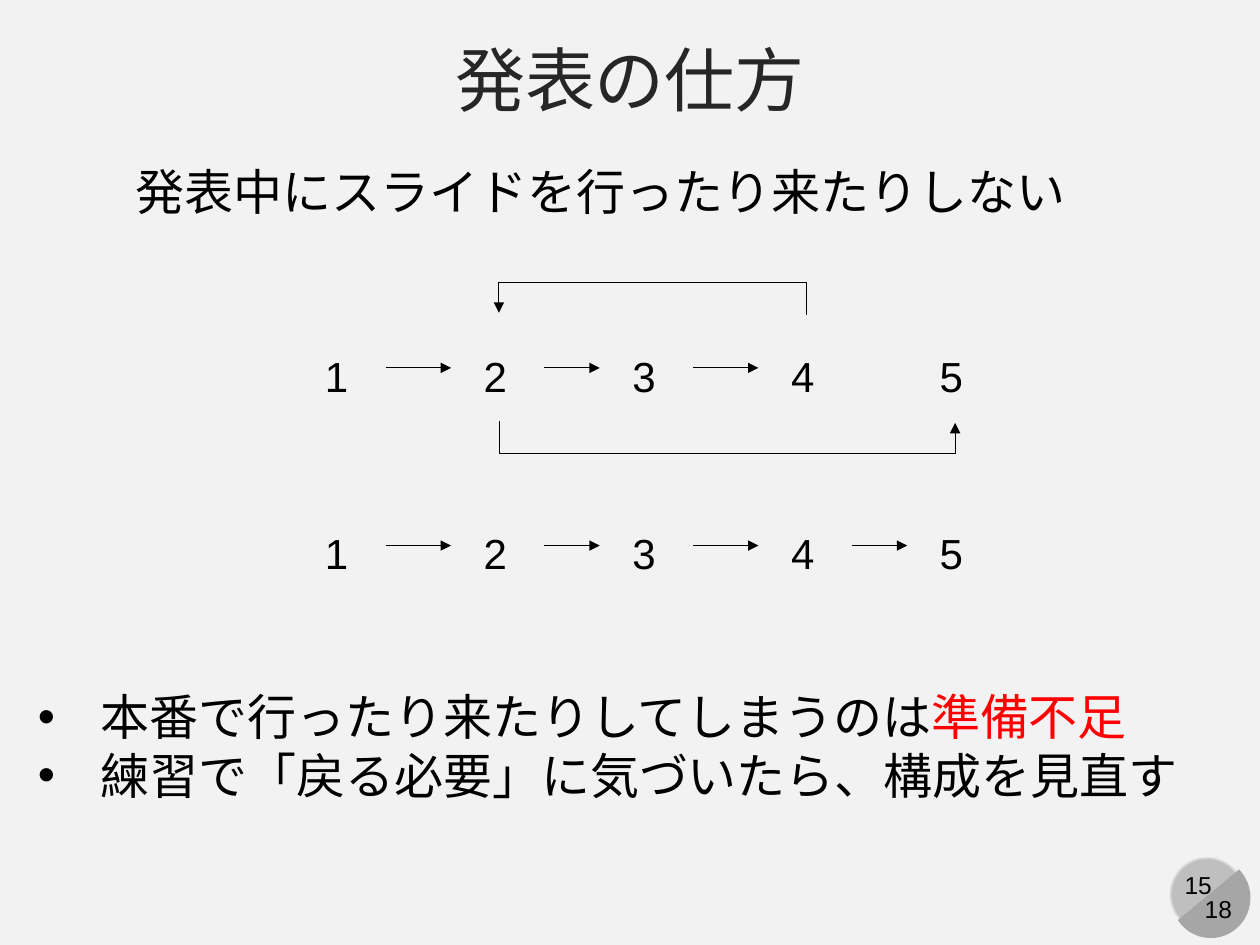
from lxml import etree
from pptx import Presentation
from pptx import util as u
from pptx.dml.color import RGBColor
from pptx.enum import shapes, text
from pptx.oxml.ns import qn

COLUMNS, ROWS = 100, 75
SLIDE_WIDTH, SLIDE_HEIGHT = u.Inches(10), u.Inches(7.5)
BLACK = "000000"
STEP_COLUMNS = [0, 12.6, 24.4, 37, 48.8]
STEP_WIDTH, STEP_HEIGHT = 3.9, 5


def column(count):
    return round(SLIDE_WIDTH * count / COLUMNS)


def row(count):
    return round(SLIDE_HEIGHT * count / ROWS)


def place(box):
    left, top, width, height = box
    return column(left), row(top), column(width), row(height)


def paint(color_format, color):
    color_format.rgb = RGBColor.from_string(color)


def write(paragraph, words, size=28, color=BLACK, align=text.PP_ALIGN.LEFT):
    paragraph.alignment = align
    run = paragraph.add_run()
    run.text = words
    run.font.name = "Arial"
    run.font.size = u.Pt(size)
    paint(run.font.color, color)


def add_text(slide, box, words, wrap=False, **style):
    shape = slide.shapes.add_textbox(*place(box))
    shape.text_frame.word_wrap = wrap
    write(shape.text_frame.paragraphs[0], words, **style)


def position(shape, box):
    shape.left, shape.top, shape.width, shape.height = place(box)


def style_arrow(connector):
    paint(connector.line.color, BLACK)
    connector.line.width = u.Pt(0.5)
    etree.SubElement(connector.line._get_or_add_ln(), qn("a:tailEnd"), type="triangle")
    etree.SubElement(connector._element.spPr, qn("a:effectLst"))


def add_arrow(slide, start, end, y):
    connector = slide.shapes.add_connector(
        shapes.MSO_CONNECTOR.STRAIGHT, column(start), row(y), column(end), row(y))
    style_arrow(connector)


def add_jump(slide, start, end, y, depth=2.5, thickness=0.14):
    span = abs(end - start)
    middle = (start + end) / 2
    connector = slide.shapes.add_connector(shapes.MSO_CONNECTOR.ELBOW, 0, 0, 0, 0)
    position(connector, (middle - thickness / 2, y - span / 2, thickness, span))
    properties = connector._element.spPr
    frame = properties.find(qn("a:xfrm"))
    frame.set("rot", str(270 * 60000))
    frame.set("flipV" if end < start else "flipH", "1")
    guides = properties.find(qn("a:prstGeom")).get_or_add_avLst()
    bend = round(depth / thickness * 100000)
    etree.SubElement(guides, qn("a:gd"), name="adj1", fmla=f"val {bend}")
    style_arrow(connector)


def add_steps(slide, left, top, arrow_count):
    starts = [left + offset for offset in STEP_COLUMNS]
    for number, start in enumerate(starts, 1):
        add_text(slide, (start, top, STEP_WIDTH, STEP_HEIGHT), str(number), size=24)
    for start, following in list(zip(starts, starts[1:]))[:arrow_count]:
        add_arrow(slide, start + 5.8, following - 1.6, top + 1.9)
    return [start + 2.2 for start in starts]


def add_jumping_steps(slide, left, top):
    centers = add_steps(slide, left, top, 3)
    add_jump(slide, centers[3], centers[1], top - 2.4)
    add_jump(slide, centers[1], centers[4], top + 6.2)


def fill_title(slide, box, words):
    title = slide.shapes.title
    position(title, box)
    frame = title.text_frame
    frame.auto_size = text.MSO_AUTO_SIZE.NONE
    frame.vertical_anchor = text.MSO_ANCHOR.MIDDLE
    write(frame.paragraphs[0], words, size=40, color="262626", align=text.PP_ALIGN.CENTER)


def fill_advice(slide, box, items):
    body = slide.placeholders[1]
    position(body, box)
    frame = body.text_frame
    frame.auto_size = text.MSO_AUTO_SIZE.NONE
    frame.word_wrap = False
    for index, runs in enumerate(items):
        paragraph = frame.paragraphs[0] if index == 0 else frame.add_paragraph()
        properties = paragraph._p.get_or_add_pPr()
        properties.set("marL", str(u.Inches(0.5)))
        properties.set("indent", str(-u.Inches(0.5)))
        etree.SubElement(properties, qn("a:buFont"), typeface="Arial")
        etree.SubElement(properties, qn("a:buChar"), char="•")
        paragraph.space_before = u.Pt(0)
        for words, color in runs:
            write(paragraph, words, color=color)


def add_disc(slide, kind, box, color):
    shape = slide.shapes.add_shape(kind, *place(box))
    shape.shadow.inherit = False
    shape.fill.solid()
    paint(shape.fill.fore_color, color)
    shape.line.fill.background()
    return shape


def add_page_badge(slide, left, top, page, total):
    disc = add_disc(slide, shapes.MSO_SHAPE.OVAL, (left, top, 5.8, 5.8), "BFBFBF")
    paint(disc.line.color, "D9D9D9")
    disc.line.width = u.Pt(1)
    chord = add_disc(slide, shapes.MSO_SHAPE.CHORD, (left, top, 6.4, 6.3), "A6A6A6")
    chord.adjustments[0], chord.adjustments[1] = 27, 141.42
    chord.rotation = 270
    style = {"size": 14, "align": text.PP_ALIGN.CENTER}
    add_text(slide, (left, top + 0.5, 4.4, 3.4), page, **style)
    add_text(slide, (left + 1.1, top + 2.4, 5.4, 3.4), total, wrap=True, **style)


def main():
    presentation = Presentation()
    presentation.slide_width, presentation.slide_height = SLIDE_WIDTH, SLIDE_HEIGHT
    slide = presentation.slides.add_slide(presentation.slide_layouts[1])
    slide.background.fill.solid()
    paint(slide.background.fill.fore_color, "F2F2F2")

    add_page_badge(slide, 92.9, 68.1, "15", "18")
    fill_title(slide, (0, 2.1, COLUMNS, 8.2), "発表の仕方")
    add_text(slide, (9.8, 12.3, 76.6, 5.7), "発表中にスライドを行ったり来たりしない")
    add_jumping_steps(slide, 24.8, 27.3)
    add_steps(slide, 24.8, 41.4, 4)
    fill_advice(slide, (2, 54, 93.5, 10.4), [
        [("本番で行ったり来たりしてしまうのは", BLACK), ("準備不足", "FF0000")],
        [("練習で「戻る必要」に気づいたら、構成を見直す", BLACK)],
    ])
    presentation.save("out.pptx")


if __name__ == "__main__":
    main()
